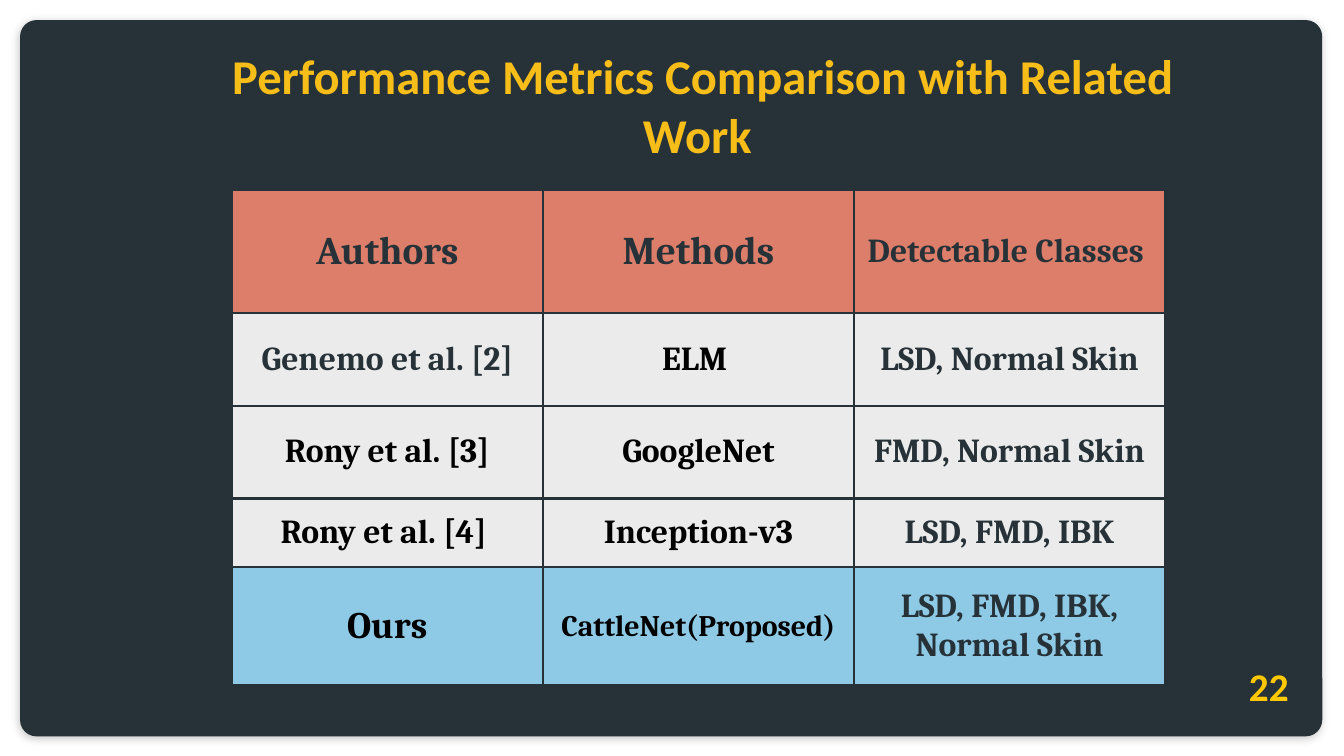
from lxml.etree import SubElement
from pptx import Presentation
from pptx.dml.color import RGBColor
from pptx.enum.shapes import MSO_SHAPE as Preset
from pptx.enum.text import MSO_ANCHOR as Anchor, MSO_AUTO_SIZE as AutoSize, PP_ALIGN as Align
from pptx.oxml.ns import qn
from pptx.util import Cm, Pt

DARK, BLACK = "263238", "000000"
HEADER_FILL, ROW_FILL, OURS_FILL = "DD7E6B", "EBEBEB", "8ECAE5"
INSET = Cm(0.25)
COLUMN_WIDTH = 5.88

# Row height in cm, fill, then (text, size, colour) for each cell
ROWS = [
    (2.34, HEADER_FILL, [("Authors", 21, DARK), ("Methods", 21, DARK),
                         ("Detectable Classes ", 18, DARK)]),
    (1.75, ROW_FILL, [("Genemo et al. [2]", 18, DARK), ("ELM ", 18, BLACK),
                      ("LSD, Normal Skin", 18, DARK)]),
    (1.75, ROW_FILL, [("Rony et al. [3]", 18, BLACK), ("GoogleNet", 18, BLACK),
                      ("FMD, Normal Skin", 18, DARK)]),
    (1.3, ROW_FILL, [("Rony et al. [4] ", 18, BLACK), ("Inception-v3", 18, BLACK),
                     ("LSD, FMD, IBK", 18, DARK)]),
    (2.24, OURS_FILL, [("Ours", 20, BLACK), ("CattleNet(Proposed)", 16, BLACK),
                       ("LSD, FMD, IBK, Normal Skin", 18, DARK)]),
]


def rgb(value):
    return RGBColor.from_string(value)


def paint(target, color):
    target.fill.solid()
    target.fill.fore_color.rgb = rgb(color)


def set_insets(target):
    target.margin_left = target.margin_right = INSET
    target.margin_top = target.margin_bottom = INSET


def write_runs(paragraph, runs, font_name, color):
    """Fill a centred bold paragraph with (text, size) runs."""
    paragraph.alignment = Align.CENTER
    for text, size in runs:
        run = paragraph.add_run()
        run.text = text
        run.font.name = font_name
        run.font.size = Pt(size)
        run.font.bold = True
        run.font.color.rgb = rgb(color)


def add_card(slide):
    card = slide.shapes.add_shape(Preset.ROUNDED_RECTANGLE, Cm(0.38), Cm(0.38), Cm(24.61), Cm(13.54))
    card.adjustments[0] = 0.023
    paint(card, DARK)
    card.line.fill.background()
    card.shadow.inherit = False
    effects = card.element.spPr.find(qn("a:effectLst"))
    shadow = SubElement(effects, qn("a:outerShdw"), blurRad=str(Pt(4.5)), dist=str(Pt(1.5)),
                        dir="5400000", algn="bl", rotWithShape="0")
    color = SubElement(shadow, qn("a:srgbClr"), val=BLACK)
    SubElement(color, qn("a:alpha"), val="24000")


def add_text(slide, left, top, width, height, runs, color):
    box = slide.shapes.add_textbox(Cm(left), Cm(top), Cm(width), Cm(height))
    frame = box.text_frame
    frame.word_wrap = True
    frame.auto_size = AutoSize.SHAPE_TO_FIT_TEXT
    set_insets(frame)
    write_runs(frame.paragraphs[0], runs, "Calibri", color)


def add_borders(cell):
    properties = cell._tc.get_or_add_tcPr()
    for position, side in enumerate(("lnL", "lnR", "lnT", "lnB")):
        line = SubElement(properties, qn(f"a:{side}"), w=str(Pt(1.5)))
        fill = SubElement(line, qn("a:solidFill"))
        SubElement(fill, qn("a:srgbClr"), val=DARK)
        properties.insert(position, line)


def add_comparison_table(slide):
    total_height = sum(height for height, _, _ in ROWS)
    table = slide.shapes.add_table(len(ROWS), 3, Cm(4.38), Cm(3.58),
                                   Cm(3 * COLUMN_WIDTH), Cm(total_height)).table
    for column in table.columns:
        column.width = Cm(COLUMN_WIDTH)
    for row, (height, fill, contents) in zip(table.rows, ROWS):
        row.height = Cm(height)
        for cell, (text, size, color) in zip(row.cells, contents):
            paint(cell, fill)
            add_borders(cell)
            set_insets(cell)
            cell.vertical_anchor = Anchor.MIDDLE
            write_runs(cell.text_frame.paragraphs[0], [(text, size)], "Cambria", color)


def main():
    presentation = Presentation()
    presentation.slide_width, presentation.slide_height = Cm(25.4), Cm(14.29)
    slide = presentation.slides.add_slide(presentation.slide_layouts[6])
    add_card(slide)
    add_comparison_table(slide)
    title = [(" ", 29), ("Performance Metrics Comparison with Related Work", 26)]
    add_text(slide, 3.02, 0.51, 20.32, 2.87, title, "F7BD18")
    add_text(slide, 22.99, 12.27, 1.98, 1.42, [("22", 21)], "FFC800")
    presentation.save("out.pptx")


if __name__ == "__main__":
    main()
